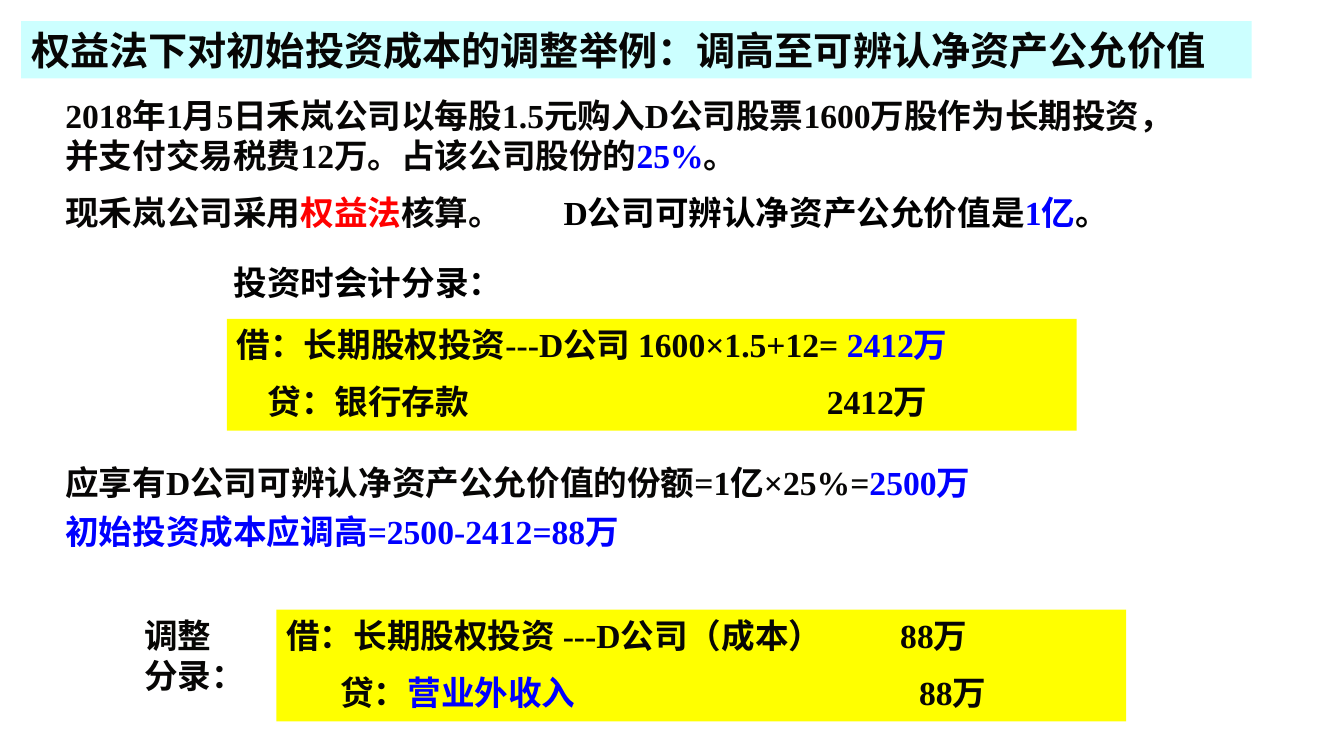
from dataclasses import dataclass

from lxml import etree
from pptx import Presentation
from pptx.dml.color import RGBColor
from pptx.enum.shapes import MSO_SHAPE
from pptx.enum.text import MSO_ANCHOR, PP_ALIGN
from pptx.oxml.ns import qn
from pptx.util import Pt

RECTANGLE = MSO_SHAPE.RECTANGLE
TOP = MSO_ANCHOR.TOP
LEFT = PP_ALIGN.LEFT
FONT = "Times New Roman"
COLORS = {
    "ink": "070605",
    "black": "000000",
    "blue": "0000FF",
    "red": "FF0000",
    "white": "FFFFFF",
    "yellow": "FFFF00",
    "cyan": "CCFFFF",
}


@dataclass(frozen=True)
class Span:
    text: str
    color: str = "ink"


@dataclass(frozen=True)
class Line:
    spans: tuple[Span, ...]
    tabs: tuple[float, ...] = ()


@dataclass(frozen=True)
class Block:
    left: float
    top: float
    width: float
    height: float
    lines: tuple[Line, ...]
    fill: str | None = None
    size: float = 24
    gap: float = 12
    wrap: bool = True


ENTRY_WIDTH, ENTRY_HEIGHT = 607, 80

background = Block(39.6, 64, 816.5, 108.7, (
    Line((
        Span("2018年1月5日禾岚公司以每股1.5元购入D公司股票1600万股作为长期投资，并支付交易税费12万。占该公司股份的"),
        Span("25%", "blue"),
        Span("。"),
    )),
    Line((
        Span("现禾岚公司采用"),
        Span("权益法", "red"),
        Span("核算。\t"),
        Span("D公司可辨认净资产公允价值是", "black"),
        Span("1亿", "blue"),
        Span("。", "black"),
    ), (356,)),
), "white")

share_of_net_assets = Block(39.6, 326.2, 798.5, 71.3, (
    Line((
        Span("应享有D公司可辨认净资产公允价值的份额=1亿×25%="),
        Span("2500万", "blue"),
    )),
    Line((Span("初始投资成本应调高=2500-2412=88万", "blue"),)),
), gap=6)

purchase_entry = Block(162, 227.7, ENTRY_WIDTH, ENTRY_HEIGHT, (
    Line((
        Span("借：长期股权投资---D公司 1600×1.5+12= "),
        Span("2412万", "blue"),
    )),
    Line((Span("\t贷：银行存款\t2412万"),), (22, 421.5)),
), "yellow")

heading = Block(15.1, 15.1, 879, 41, (
    Line((Span("权益法下对初始投资成本的调整举例：调高至可辨认净资产公允价值"),)),
), "cyan", size=28)

adjusting_entry = Block(197.5, 435.4, ENTRY_WIDTH, ENTRY_HEIGHT, (
    Line((Span("借：长期股权投资 ---D公司（成本）\t88万"),), (438.5,)),
    Line((
        Span("\t贷："),
        Span("营业外收入\t", "blue"),
        Span("88万"),
    ), (38.5, 452)),
), "yellow")

adjusting_label = Block(95.8, 435.4, 87.8, 65.5, (
    Line((Span("调整"),)),
    Line((Span("分录："),)),
), gap=0, wrap=False)

purchase_label = Block(159.8, 183.6, 237.6, 36, (
    Line((Span("投资时会计分录：", "black"),)),
))

BLOCKS = (
    background, share_of_net_assets, purchase_entry, heading,
    adjusting_entry, adjusting_label, purchase_label,
)


def add_tab_stops(paragraph, stops: tuple[float, ...]) -> None:
    tab_list = etree.SubElement(paragraph._p.get_or_add_pPr(), qn("a:tabLst"))
    for stop in stops:
        etree.SubElement(tab_list, qn("a:tab"), pos=str(Pt(stop)), algn="l")


def write_line(paragraph, line: Line, size: float, space_before: float) -> None:
    if line.tabs:
        add_tab_stops(paragraph, line.tabs)
    paragraph.alignment = LEFT
    paragraph.space_before = Pt(space_before)
    paragraph.font.name = FONT
    paragraph.font.size = Pt(size)
    paragraph.font.bold = True
    for span in line.spans:
        run = paragraph.add_run()
        run.text = span.text
        run.font.color.rgb = RGBColor.from_string(COLORS[span.color])


def draw_block(slide, block: Block) -> None:
    bounds = [Pt(v) for v in (block.left, block.top, block.width, block.height)]
    if block.fill:
        panel = slide.shapes.add_shape(RECTANGLE, *bounds)
        panel.shadow.inherit = False
        panel.fill.solid()
        panel.fill.fore_color.rgb = RGBColor.from_string(COLORS[block.fill])
        panel.line.fill.background()
    else:
        panel = slide.shapes.add_textbox(*bounds)
    frame = panel.text_frame
    frame.word_wrap = block.wrap
    frame.vertical_anchor = TOP
    for index, line in enumerate(block.lines):
        paragraph = frame.add_paragraph() if index else frame.paragraphs[0]
        write_line(paragraph, line, block.size, block.gap if index else 0)


def main() -> None:
    presentation = Presentation()
    presentation.slide_width = Pt(960)
    presentation.slide_height = Pt(540)
    slide = presentation.slides.add_slide(presentation.slide_layouts[6])
    for block in BLOCKS:
        draw_block(slide, block)
    presentation.save("out.pptx")


if __name__ == "__main__":
    main()
